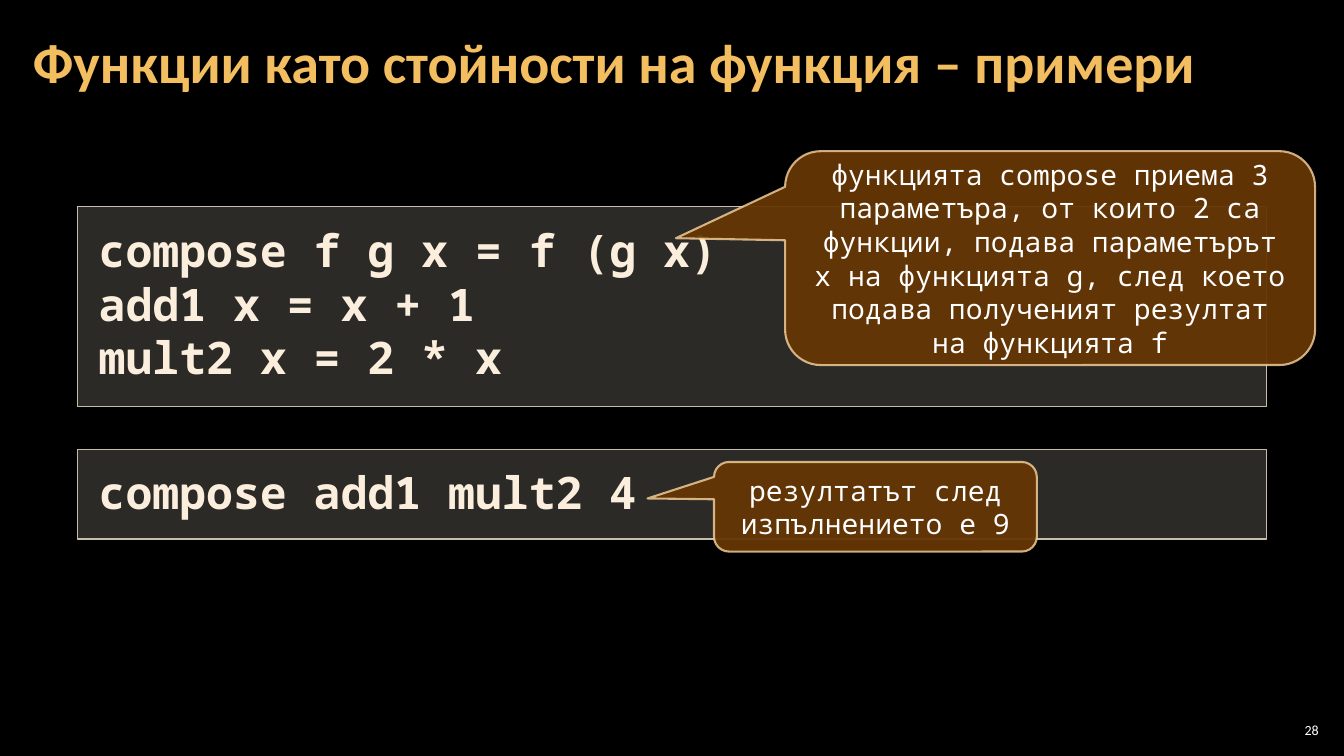
from pptx import Presentation
from pptx.dml.color import RGBColor
from pptx.enum.shapes import MSO_SHAPE as Shape
from pptx.enum.text import MSO_ANCHOR as Anchor, MSO_AUTO_SIZE as AutoSize, PP_ALIGN as Align
from pptx.oxml.ns import qn
from pptx.util import Pt
from lxml.etree import SubElement


def paint(fill, value):
    fill.solid()
    fill.fore_color.rgb = RGBColor.from_string(value)


def fade(parent, opacity):
    if opacity < 100:
        element = parent.find(qn("a:solidFill")).find(qn("a:srgbClr"))
        SubElement(element, qn("a:alpha"), val=str(opacity * 1000))


class CodeSlide:
    body_font = "Calibri"
    code_font = "Noto Sans Mono"

    def __init__(self, presentation):
        self.slide = presentation.slides.add_slide(presentation.slide_layouts[5])
        paint(self.slide.background.fill, "000000")

    def add_text(self, shape, lines, size, font, ink, margins, bold=False,
                 align=Align.LEFT, anchor=Anchor.MIDDLE, spacing=None):
        frame = shape.text_frame
        frame.word_wrap = True
        frame.auto_size = AutoSize.NONE
        frame.vertical_anchor = anchor
        frame.margin_left = frame.margin_right = Pt(margins[0])
        frame.margin_top = frame.margin_bottom = Pt(margins[1])
        for index, line in enumerate(lines):
            paragraph = frame.add_paragraph() if index else frame.paragraphs[0]
            paragraph.alignment = align
            if spacing:
                paragraph.line_spacing = spacing
            run = paragraph.add_run()
            run.text = line
            run.font.name = font
            run.font.size = Pt(size)
            run.font.bold = bold
            paint(run.font.fill, ink)

    def panel(self, kind, box, fill, opacity, line, width, line_opacity=100):
        shape = self.slide.shapes.add_shape(kind, *map(Pt, box))
        shape.shadow.inherit = False
        paint(shape.fill, fill)
        paint(shape.line.fill, line)
        shape.line.width = Pt(width)
        properties = shape.element.spPr
        fade(properties, opacity)
        fade(properties.find(qn("a:ln")), line_opacity)
        return shape

    def title(self, text, box):
        shape = self.slide.shapes.title
        shape.left, shape.top, shape.width, shape.height = map(Pt, box)
        self.add_text(shape, [text], 40, self.body_font, "F3BE60", (8.5, 2.8),
                      bold=True, spacing=0.9)

    def code(self, lines, top, height):
        shape = self.panel(Shape.RECTANGLE, (55.2, top, 849.6, height),
                           "D9D4C6", 20, "C6BEAB", 1)
        self.add_text(shape, lines, 32, self.code_font, "FBEEDC", (15.3, 11.3),
                      bold=True, anchor=Anchor.TOP)

    def callout(self, text, box):
        shape = self.panel(Shape.ROUNDED_RECTANGULAR_CALLOUT, box,
                           "663606", 95, "F8D49E", 1.5, 80)
        for index, value in enumerate((-0.706, -0.093, 0.167)):
            shape.adjustments[index] = value
        self.add_text(shape, [text], 20, self.code_font, "FFFFFF", (9.4, 5),
                      align=Align.CENTER)

    def page_number(self, text, box):
        shape = self.slide.shapes.add_textbox(*map(Pt, box))
        self.add_text(shape, [text], 10, self.body_font, "FFFFFF", (2.8, 2.8),
                      align=Align.RIGHT)


def main():
    presentation = Presentation()
    presentation.slide_width = Pt(960)
    presentation.slide_height = Pt(540)

    slide = CodeSlide(presentation)
    slide.title("Функции като стойности на функция – примери", (15, 3, 929.5, 87))
    slide.code(["compose f g x = f (g x)", "add1 x = x + 1", "mult2 x = 2 * x"],
               147.7, 142.6)
    slide.code(["compose add1 mult2 4"], 321, 64)
    slide.callout("функцията compose приема 3 параметъра, от които 2 са функции, "
                  "подава параметърът x на функцията g, след което подава "
                  "полученият резултат на функцията f", (560.8, 108, 378.6, 152.8))
    slide.callout("резултатът след изпълнението е 9", (510, 330, 230.6, 64))
    slide.page_number("28", (911, 514, 33.8, 15))

    presentation.save("out.pptx")


if __name__ == "__main__":
    main()
